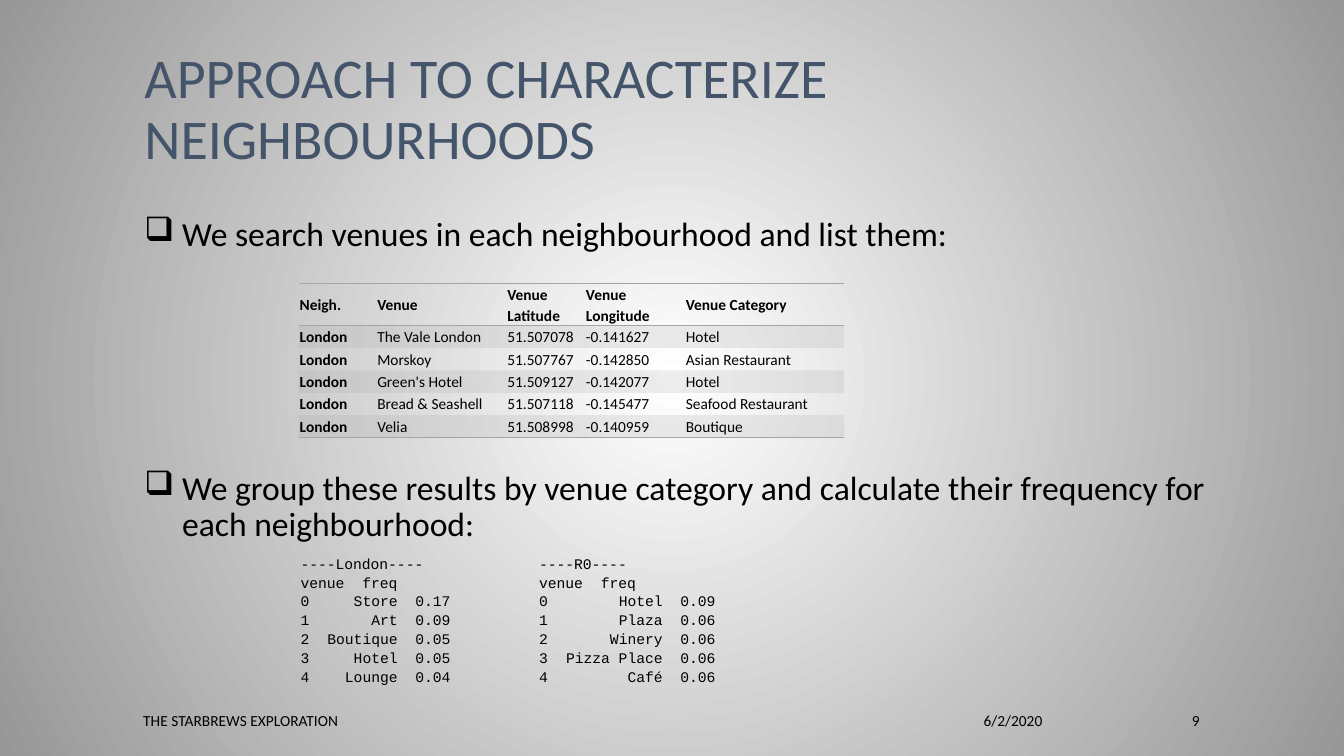
from lxml import etree
from pptx import Presentation
from pptx import util as u
from pptx.dml.color import RGBColor
from pptx.enum import text
from pptx.oxml import ns

COLORS = {"title": "44546A", "text": "000000", "gray": "A5A5A5",
          "center": "FFFFFF", "edge": "979797"}
PLAIN_TABLE_STYLE = "{2D5ABB26-0587-4C30-8999-92F81FD0307C}"
CHARACTER_WIDTH = 6.3  # Courier New at 10.5 pt

VENUE_WIDTHS = [55.4, 92.9, 56.2, 71.3, 113.8]
VENUES = [
    ["Neigh.", "Venue", "Venue Latitude", "Venue Longitude", "Venue Category"],
    ["London", "The Vale London", "51.507078", "-0.141627", "Hotel"],
    ["London", "Morskoy", "51.507767", "-0.142850", "Asian Restaurant"],
    ["London", "Green's Hotel", "51.509127", "-0.142077", "Hotel"],
    ["London", "Bread & Seashell", "51.507118", "-0.145477", "Seafood Restaurant"],
    ["London", "Velia", "51.508998", "-0.140959", "Boutique"],
]
LONDON = [("Store", "0.17"), ("Art", "0.09"), ("Boutique", "0.05"),
          ("Hotel", "0.05"), ("Lounge", "0.04")]
R0 = [("Hotel", "0.09"), ("Plaza", "0.06"), ("Winery", "0.06"),
      ("Pizza Place", "0.06"), ("Café", "0.06")]


def rgb(name):
    return RGBColor.from_string(COLORS[name])


def add_xml(parent, tag, **attributes):
    return etree.SubElement(parent, ns.qn(tag), attributes)


def format_paragraph(paragraph, size, font="Calibri", color="text", bold=False,
                     spacing=None, align=text.PP_ALIGN.LEFT):
    paragraph.alignment = align
    paragraph.line_spacing = spacing
    for run in paragraph.runs:
        run.font.name = font
        run.font.size = u.Pt(size)
        run.font.bold = bold
        run.font.color.rgb = rgb(color)


def add_text_box(slide, box, content):
    frame = slide.shapes.add_textbox(*(u.Pt(length) for length in box)).text_frame
    frame.word_wrap = True
    frame.text = content
    return frame


def set_background(slide):
    fill = slide.background.fill
    fill.gradient()
    for stop, name in zip(fill.gradient_stops, ("center", "edge")):
        stop.color.rgb = rgb(name)
    gradient = next(slide.element.iter(ns.qn("a:gradFill")))
    gradient.remove(gradient.find(ns.qn("a:lin")))
    circle = add_xml(gradient, "a:path", path="circle")
    add_xml(circle, "a:fillToRect", l="50000", t="50000", r="50000", b="50000")


def add_title(slide, box, content):
    title = slide.shapes.title
    title.left, title.top, title.width, title.height = (u.Pt(length) for length in box)
    frame = title.text_frame
    frame.text = content
    frame.auto_size = text.MSO_AUTO_SIZE.NONE
    frame.vertical_anchor = text.MSO_ANCHOR.BOTTOM
    format_paragraph(frame.paragraphs[0], 40, color="title", spacing=0.9)


def add_steps(slide, box, steps, gap):
    frame = add_text_box(slide, box, "\n".join(steps))
    for index, paragraph in enumerate(frame.paragraphs):
        format_paragraph(paragraph, 24, spacing=0.9)
        if index:
            paragraph.space_before = u.Pt(gap)
        properties = paragraph._p.get_or_add_pPr()
        properties.set("marL", str(u.Pt(27)))
        properties.set("indent", str(u.Pt(-27)))
        # In Wingdings the letter q is the shadowed box
        add_xml(properties, "a:buFont", typeface="Wingdings", charset="2")
        add_xml(properties, "a:buChar", char="q")


def add_border(cell, side):
    line = etree.Element(ns.qn(side), w=str(u.Pt(1)))
    solid = add_xml(line, "a:solidFill")
    add_xml(solid, "a:srgbClr", val=COLORS["gray"])
    cell._tc.get_or_add_tcPr().insert(0, line)


def fill_cell(cell, banded):
    if not banded:
        cell.fill.background()
        return
    cell.fill.solid()
    cell.fill.fore_color.rgb = rgb("gray")
    color = next(cell._tc.get_or_add_tcPr().iter(ns.qn("a:srgbClr")))
    add_xml(color, "a:alpha", val="20000")


def add_venue_table(slide, left, top):
    heights = [30] + [16] * (len(VENUES) - 1)
    frame = slide.shapes.add_table(
        len(VENUES), len(VENUE_WIDTHS), u.Pt(left), u.Pt(top),
        u.Pt(sum(VENUE_WIDTHS)), u.Pt(sum(heights)))
    table = frame.table
    table.first_row = table.horz_banding = False
    next(table._tbl.iter(ns.qn("a:tableStyleId"))).text = PLAIN_TABLE_STYLE
    for column, width in zip(table.columns, VENUE_WIDTHS):
        column.width = u.Pt(width)
    for row_index, values in enumerate(VENUES):
        table.rows[row_index].height = u.Pt(heights[row_index])
        for column_index, value in enumerate(values):
            cell = table.cell(row_index, column_index)
            cell.text = value
            cell.vertical_anchor = text.MSO_ANCHOR.MIDDLE
            cell.margin_left = cell.margin_right = u.Pt(0.72)
            cell.margin_top = cell.margin_bottom = u.Pt(0.72)
            format_paragraph(cell.text_frame.paragraphs[0], 11, spacing=1.07,
                             bold=row_index == 0 or column_index == 0)
            fill_cell(cell, banded=row_index % 2 == 1)
            if row_index in (0, len(VENUES) - 1):
                add_border(cell, "a:lnB")
            if row_index == 0:
                add_border(cell, "a:lnT")


def add_frequencies(slide, box, name, frequencies):
    lines = [f"----{name}----", "venue\tfreq"]
    lines += [f"{rank}\t{venue}\t{share}"
              for rank, (venue, share) in enumerate(frequencies)]
    frame = add_text_box(slide, box, "\n".join(lines))
    # Rank, two blanks, then the longest venue; the share ends six characters on
    venue_end = 3 + max(len(venue) for venue, share in frequencies)
    for index, paragraph in enumerate(frame.paragraphs):
        format_paragraph(paragraph, 10.5, font="Courier New", spacing=1.07)
        stops = [(7, "l")] if index < 2 else [(venue_end, "r"), (venue_end + 6, "r")]
        tabs = add_xml(paragraph._p.get_or_add_pPr(), "a:tabLst")
        for characters, align in stops:
            add_xml(tabs, "a:tab", pos=str(u.Pt(characters * CHARACTER_WIDTH)), algn=align)


def add_footer(slide, top, height):
    right = text.PP_ALIGN.RIGHT
    for left, width, content, align in (
            (95.2, 522.7, "THE STARBREWS EXPLORATION", text.PP_ALIGN.LEFT),
            (641.5, 110.2, "6/2/2020", right),
            (774, 90, "9", right)):
        frame = add_text_box(slide, (left, top, width, height), content)
        frame.vertical_anchor = text.MSO_ANCHOR.MIDDLE
        format_paragraph(frame.paragraphs[0], 11, align=align)


def build_approach_slide(presentation):
    slide = presentation.slides.add_slide(presentation.slide_layouts[5])
    set_background(slide)
    # Heading and the two steps
    add_title(slide, (96, 21.6, 768, 104.4), "APPROACH TO CHARACTERIZE NEIGHBOURHOODS")
    add_steps(slide, (96, 152, 775.4, 242.6), [
        "We search venues in each neighbourhood and list them:",
        "We group these results by venue category and calculate their "
        "frequency for each neighbourhood:"], gap=155)
    # Results of each step
    add_venue_table(slide, 213.4, 202.6)
    for index, (name, frequencies) in enumerate((("London", LONDON), ("R0", R0))):
        add_frequencies(slide, (207.6 + 170.4 * index, 391.7, 170, 102.2),
                        name, frequencies)
    add_footer(slide, 507.6, 14.4)


def main():
    presentation = Presentation()
    presentation.slide_width = u.Pt(960)
    presentation.slide_height = u.Pt(540)
    build_approach_slide(presentation)
    presentation.save("out.pptx")


if __name__ == "__main__":
    main()
